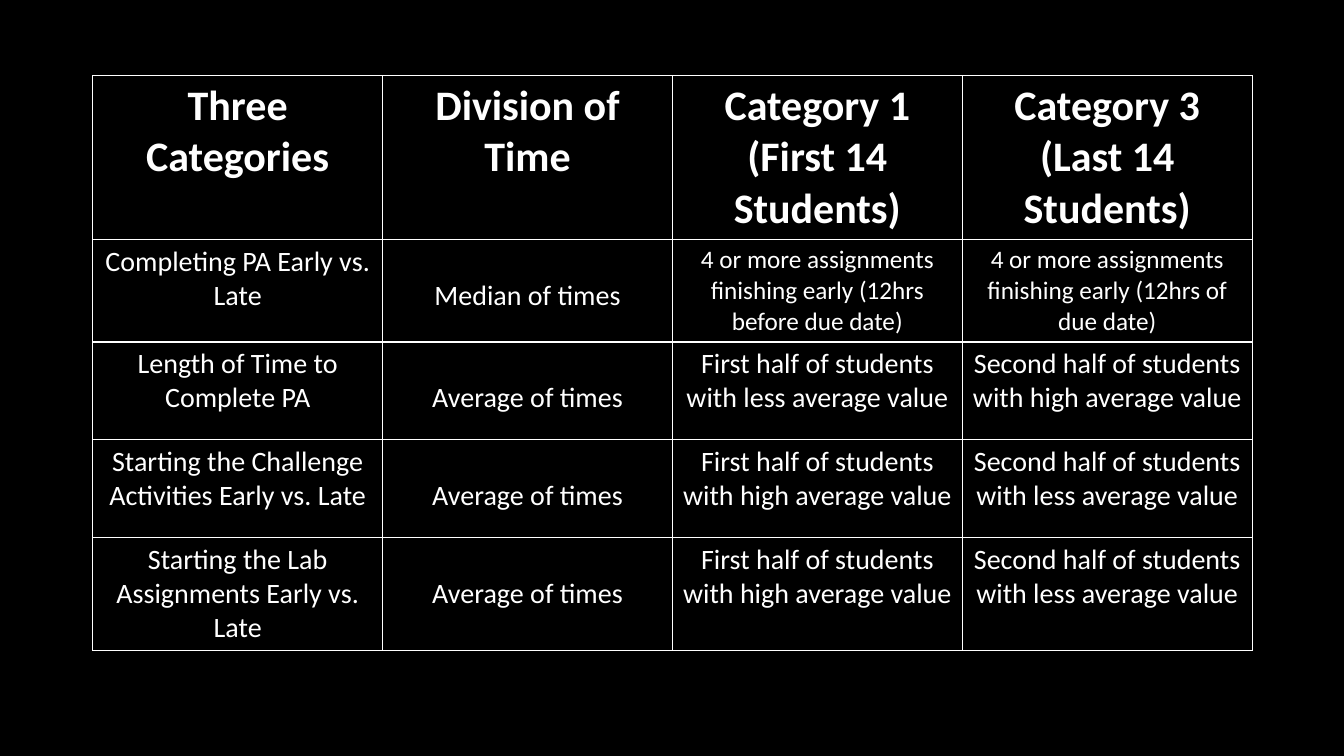
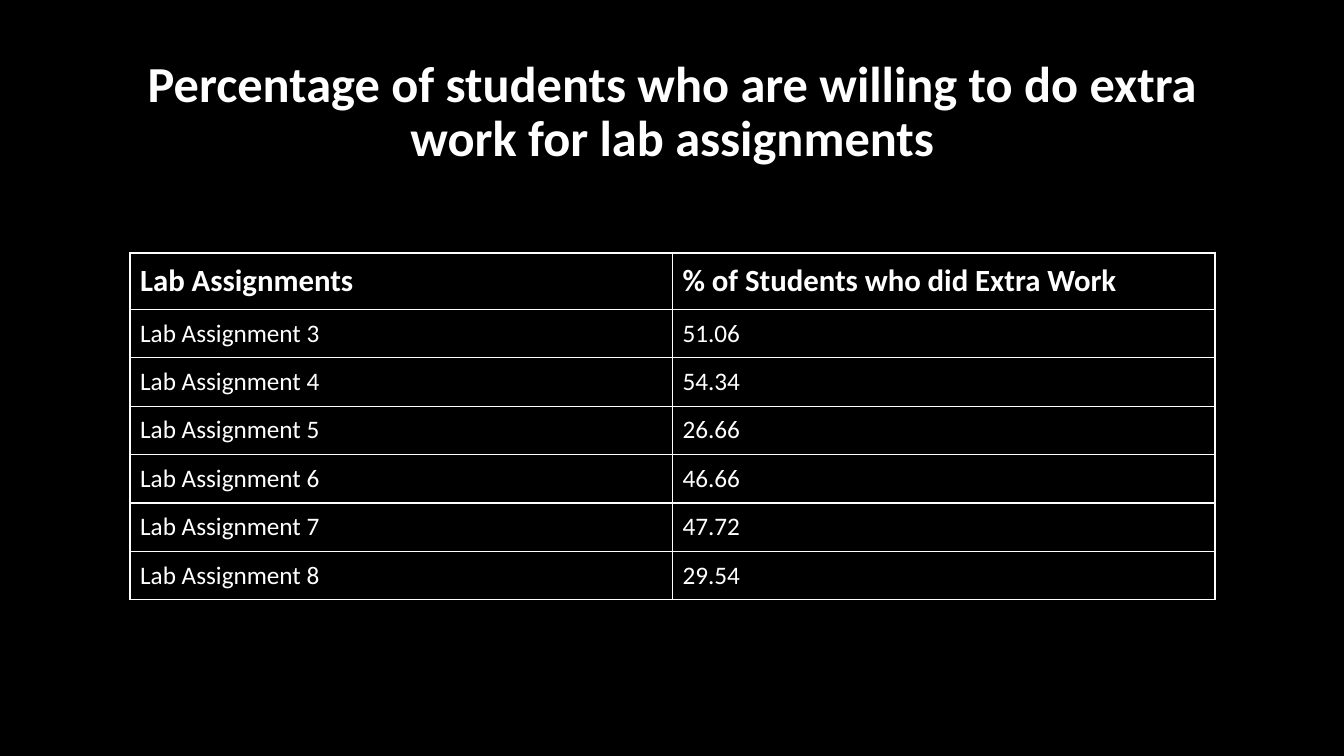
"""Build two black slides that show how students were grouped and who did extra work."""
import lxml.etree
import pptx
import pptx.dml.color
import pptx.enum.text
import pptx.oxml.ns
import pptx.util

Inches = pptx.util.Inches
ALIGN = pptx.enum.text.PP_ALIGN
ANCHOR = pptx.enum.text.MSO_ANCHOR
FONT, WHITE, BLACK = "Calibri", "FFFFFF", "000000"


def paint(fill, color):
    fill.solid()
    fill.fore_color.rgb = pptx.dml.color.RGBColor.from_string(color)


def write(tf, text, size, bold, align):
    p = tf.paragraphs[0]
    p.alignment = align
    r = p.add_run()
    r.text = text
    r.font.name = FONT
    r.font.size = pptx.util.Pt(size)
    r.font.bold = bold
    paint(r.font.fill, WHITE)
    return p


prs = pptx.Presentation()
prs.slide_width, prs.slide_height = Inches(13.33), Inches(7.5)
paint(prs.slide_master.background.fill, BLACK)

categories = [
    ["Three Categories", "Division of Time",
     "Category 1 (First 14 Students)", "Category 3 (Last 14 Students)"],
    ["Completing PA Early vs. Late", "Median of times",
     "4 or more assignments finishing early (12hrs before due date)",
     "4 or more assignments finishing early (12hrs of due date)"],
    ["Length of Time to Complete PA", "Average of times",
     "First half of students with less average value",
     "Second half of students with high average value"],
    ["Starting the Challenge Activities Early vs. Late", "Average of times",
     "First half of students with high average value",
     "Second half of students with less average value"],
    ["Starting the Lab Assignments Early vs. Late", "Average of times",
     "First half of students with high average value",
     "Second half of students with less average value"],
]
percentages = ["51.06", "54.34", "26.66", "46.66", "47.72", "29.54"]
extra_work = [["Lab Assignments", "% of Students who did Extra Work"]]
extra_work += [[f"Lab Assignment {n}", value] for n, value in enumerate(percentages, 3)]

category_slide = prs.slides.add_slide(prs.slide_layouts[6])
extra_slide = prs.slides.add_slide(prs.slide_layouts[5])

title = extra_slide.shapes.title
title.left, title.top, title.width, title.height = map(Inches, (0.92, 0.4, 11.5, 1.45))
tf = title.text_frame
tf.word_wrap = True
tf.auto_size = pptx.enum.text.MSO_AUTO_SIZE.NONE
tf.vertical_anchor = ANCHOR.MIDDLE
p = write(tf, "Percentage of students who are willing to do extra work for lab assignments",
          36, True, ALIGN.CENTER)
p.line_spacing = 0.9

tables = [
    (category_slide, categories, (0.92, 0.75, 11.5, 5.64), 0.97, 0.97,
     30, 20, ALIGN.CENTER, ANCHOR.TOP),
    (extra_slide, extra_work, (1.29, 2.51, 10.76, 3.43), 0.56, 0.48,
     22, 18, ALIGN.LEFT, ANCHOR.MIDDLE),
]
for s, rows, box, head_height, row_height, head_size, body_size, align, anchor in tables:
    frame = s.shapes.add_table(len(rows), len(rows[0]), *map(Inches, box))
    table = frame.table
    table.first_row = table.horz_banding = False
    for i, row in enumerate(rows):
        table.rows[i].height = Inches(row_height if i else head_height)
        for j, text in enumerate(row):
            cell = table.cell(i, j)
            tcPr = cell._tc.get_or_add_tcPr()
            for side in ("lnL", "lnR", "lnT", "lnB"):
                ln = lxml.etree.SubElement(tcPr, pptx.oxml.ns.qn(f"a:{side}"), w="12700")
                line_fill = lxml.etree.SubElement(ln, pptx.oxml.ns.qn("a:solidFill"))
                lxml.etree.SubElement(line_fill, pptx.oxml.ns.qn("a:srgbClr"), val=WHITE)
            paint(cell.fill, BLACK)
            cell.vertical_anchor = anchor
            if text.endswith("of times"):
                cell.margin_top = Inches(0.39)
            size = body_size if i else head_size
            if text.startswith("4 or more"):
                size = 18
            write(cell.text_frame, text, size, i == 0, align)
    frame.height = Inches(box[3])

prs.save("out.pptx")
